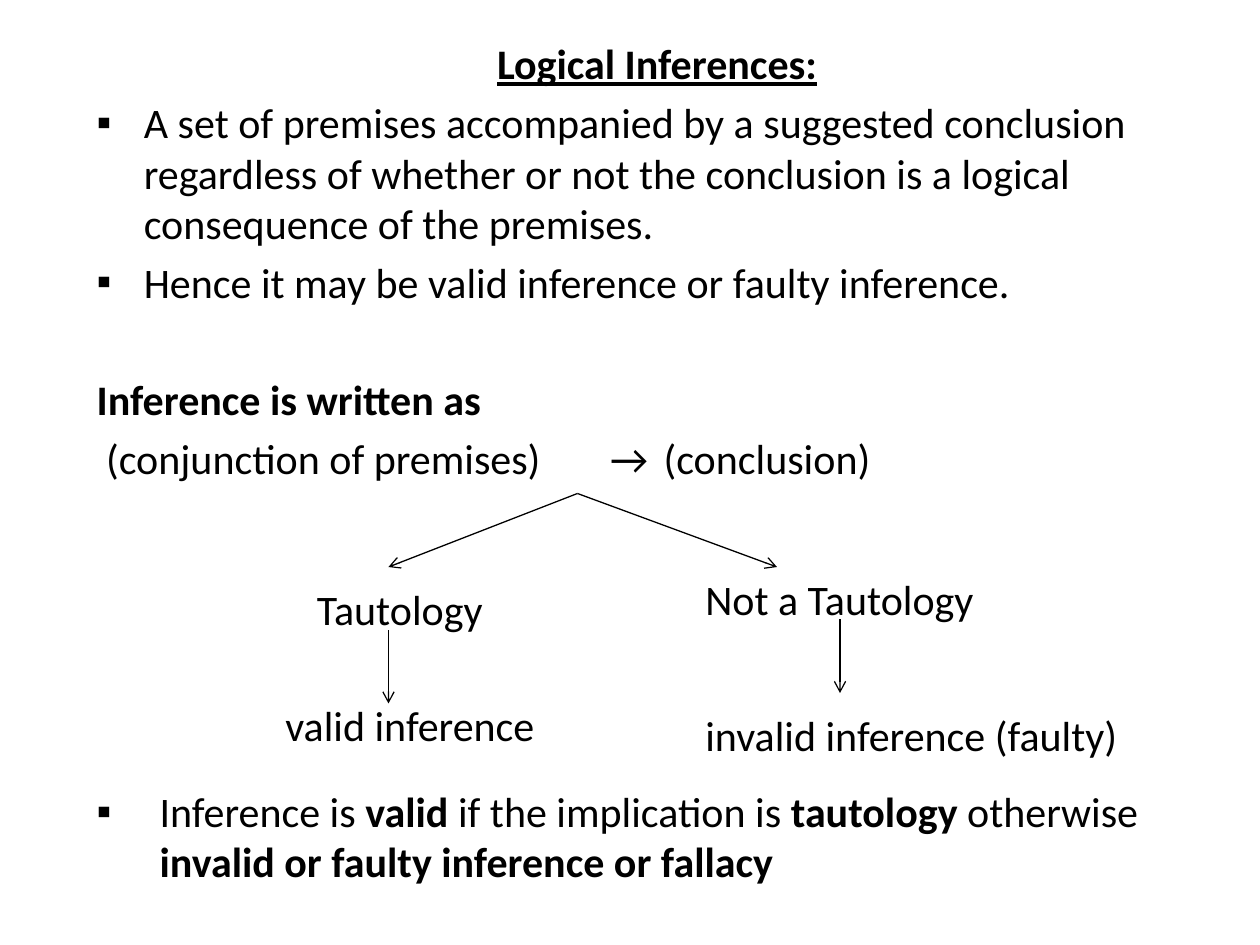
import lxml.etree
import pptx
import pptx.dml.color
import pptx.enum.shapes
import pptx.enum.text
import pptx.oxml.ns
import pptx.util

Pt = pptx.util.Pt
COLORS = {"ink": "000000", "paper": "FFFFFF"}
FONT = "Calibri"
TEXT_SIZE = 24
LINE = 28.8
GAP = 4.8
INDENT = 27


def color(name):
    return pptx.dml.color.RGBColor.from_string(COLORS[name])


def add_xml(parent, tag, **attributes):
    return lxml.etree.SubElement(parent, pptx.oxml.ns.qn(tag), attributes)


def set_font(para, bold=False, underline=False):
    font = para.font
    font.name, font.size = FONT, Pt(TEXT_SIZE)
    font.bold, font.underline = bold, underline
    font.color.rgb = color("ink")


def place(shape, left, top, width, height):
    shape.left, shape.top = Pt(left), Pt(top)
    shape.width, shape.height = Pt(width), Pt(height)
    frame = shape.text_frame
    frame.word_wrap = True
    frame.auto_size = pptx.enum.text.MSO_AUTO_SIZE.NONE
    frame.vertical_anchor = pptx.enum.text.MSO_ANCHOR.TOP
    return frame


def format_para(para, before=GAP, indent=0, bullet=False, tabs=(), bold=False):
    """Set spacing, hanging indent, bullet, tab stops and font of a paragraph."""
    para.space_before = Pt(before)
    properties = para._p.get_or_add_pPr()
    properties.set("marL", str(Pt(indent)))
    properties.set("indent", str(-Pt(indent)))
    if bullet:
        add_xml(properties, "a:buChar", char="▪")
    else:
        add_xml(properties, "a:buNone")
    if tabs:
        stops = add_xml(properties, "a:tabLst")
        for position in tabs:
            add_xml(stops, "a:tab", pos=str(Pt(position)), algn="l")
    set_font(para, bold)


def fill_title(shape, left, top, width, height):
    para = place(shape, left, top, width, height).paragraphs[0]
    para.text = "Logical Inferences:"
    para.alignment = pptx.enum.text.PP_ALIGN.CENTER
    set_font(para, bold=True, underline=True)


def fill_body(shape, left, top, width, height):
    frame = place(shape, left, top, width, height)
    step = LINE + GAP
    content = [
        ("A set of premises accompanied by a suggested conclusion regardless of "
         "whether or not the conclusion is a logical consequence of the premises.",
         dict(indent=INDENT, bullet=True)),
        ("Hence it may be valid inference or faulty inference.",
         dict(indent=INDENT, bullet=True)),
        ("Inference is written as", dict(before=GAP + step, bold=True)),
        (" (conjunction of premises)\t →\t(conclusion)", dict(tabs=(315, 387))),
        ("", dict(before=GAP + 5 * step, indent=36, bullet=True)),
    ]
    for index, (text, style) in enumerate(content):
        para = frame.paragraphs[0] if index == 0 else frame.add_paragraph()
        para.text = text
        format_para(para, **style)

    summary = ["Inference is ", "valid", " if the implication is ", "tautology",
               " otherwise ", "invalid or faulty inference or fallacy"]
    for index, text in enumerate(summary):
        span = para.add_run()
        span.text = text
        span.font.bold = index % 2 == 1


def add_arrow(page, start, end):
    arrow = page.shapes.add_connector(
        pptx.enum.shapes.MSO_CONNECTOR.STRAIGHT, *map(Pt, start + end))
    arrow.line.color.rgb = color("ink")
    arrow.line.width = Pt(0.75)
    add_xml(arrow.line._get_or_add_ln(), "a:tailEnd", type="arrow")
    add_xml(arrow._element.spPr, "a:effectLst")


def add_label(page, text, left, top, width):
    box = page.shapes.add_textbox(0, 0, 0, 0)
    para = place(box, left, top, width, 36).paragraphs[0]
    para.text = text
    set_font(para)


def add_tree(page, left, top):
    """Draw the two outcomes of an inference below the point where they part."""
    drop = 42
    branches = [((222, 324), (222, 360)), ((444, 324), (480, 354))]
    for tip, stem in branches:
        add_arrow(page, (left + 174, top), (left + tip[0] - 156, top + drop))
        add_arrow(page, (left + stem[0] - 156, top + stem[1] - 282),
                  (left + stem[0] - 156, top + stem[1] - 282 + drop))
    labels = [
        ("Tautology", 18, 48, 120),
        ("valid inference", 0, 114, 198),
        ("Not a Tautology", 240, 42, 169),
        ("invalid inference (faulty)", 240, 120, 288),
    ]
    for text, across, down, width in labels:
        add_label(page, text, left + across, top + down, width)


def main():
    deck = pptx.Presentation()
    deck.slide_width, deck.slide_height = Pt(720), Pt(540)
    page = deck.slides.add_slide(deck.slide_layouts[1])
    page.background.fill.solid()
    page.background.fill.fore_color.rgb = color("paper")
    title, body = page.placeholders
    fill_title(title, 48, 18, 655, LINE + GAP)
    fill_body(body, 48, 18 + LINE + GAP, 655, 476)
    add_tree(page, 156, 282)
    deck.save("out.pptx")


if __name__ == "__main__":
    main()
